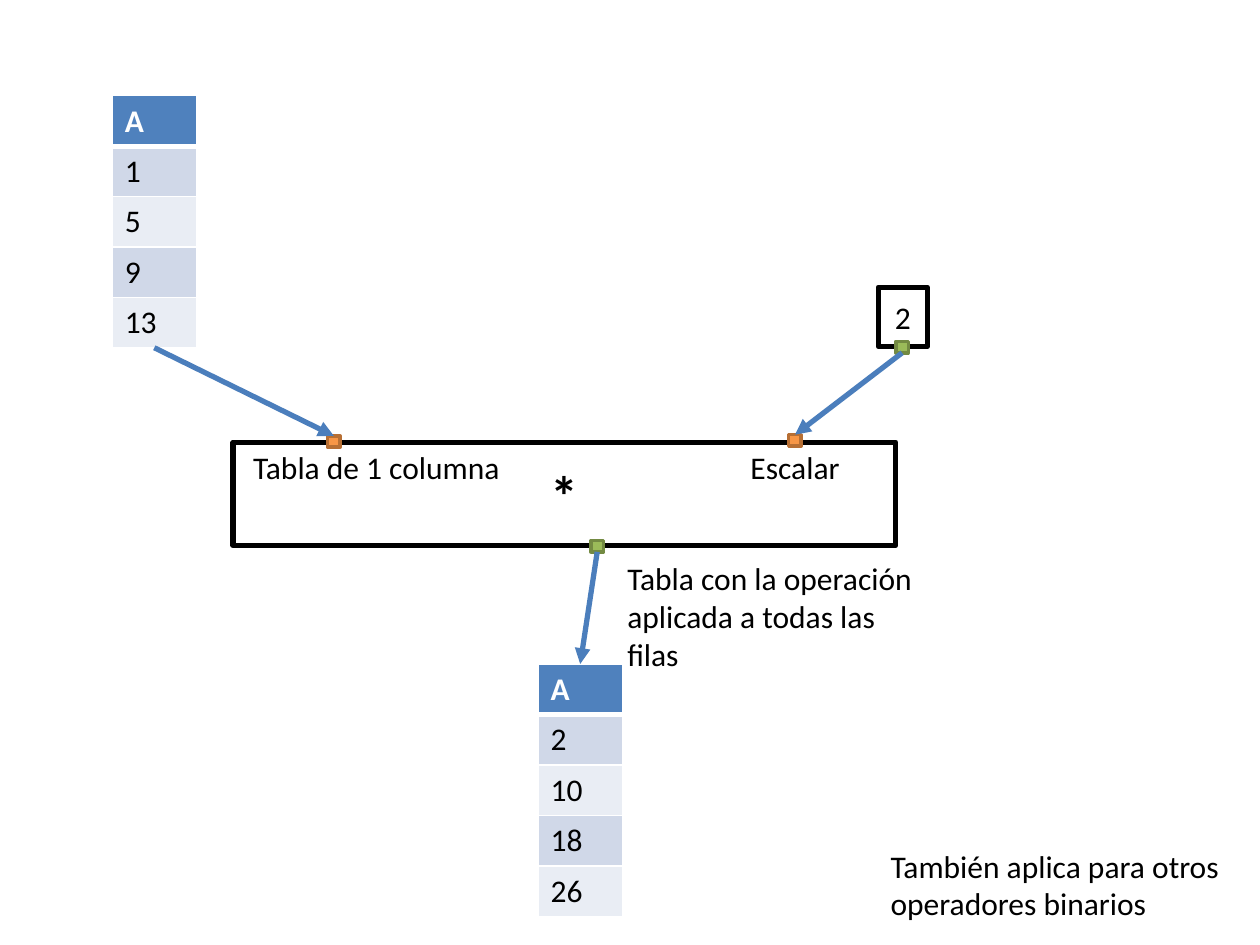
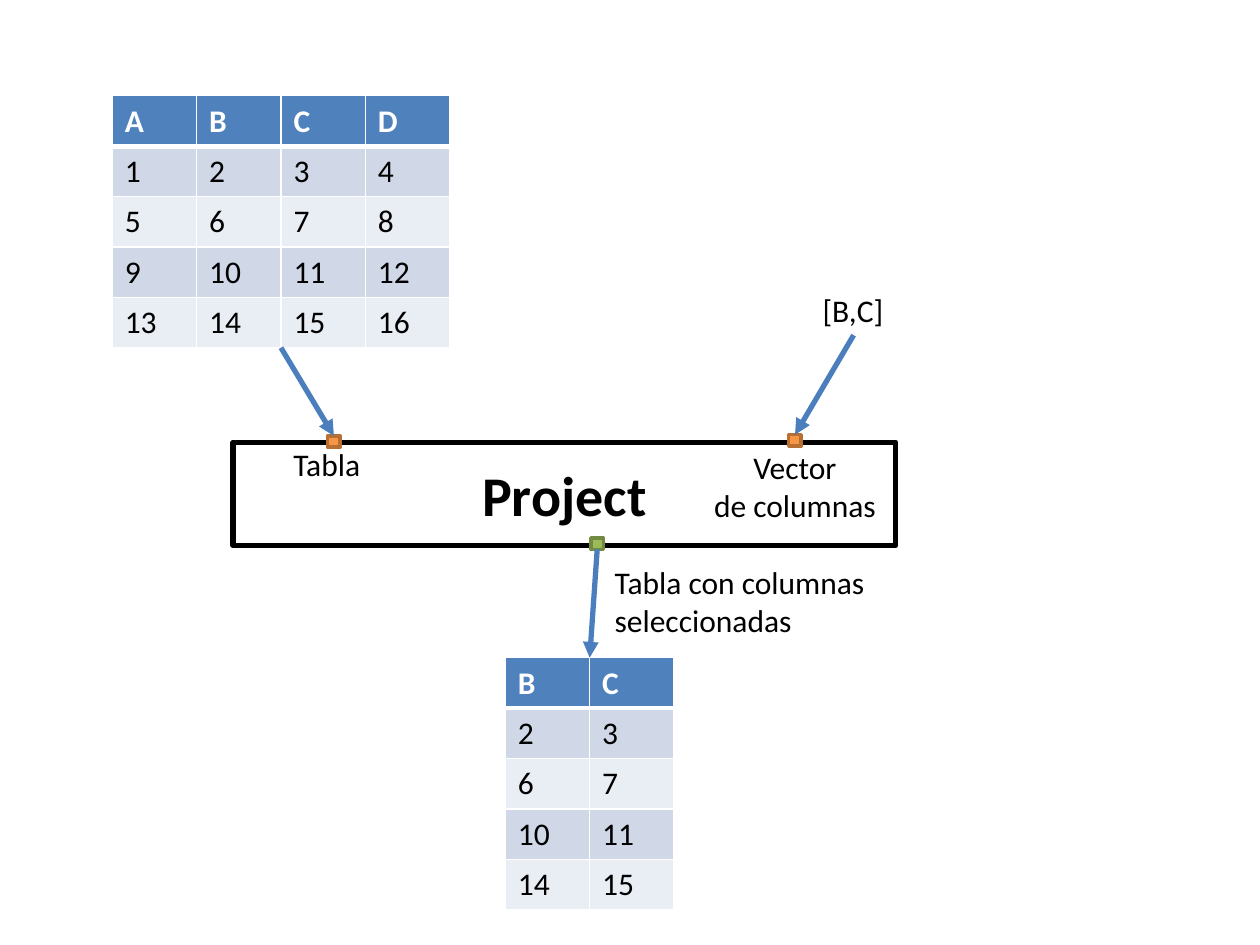
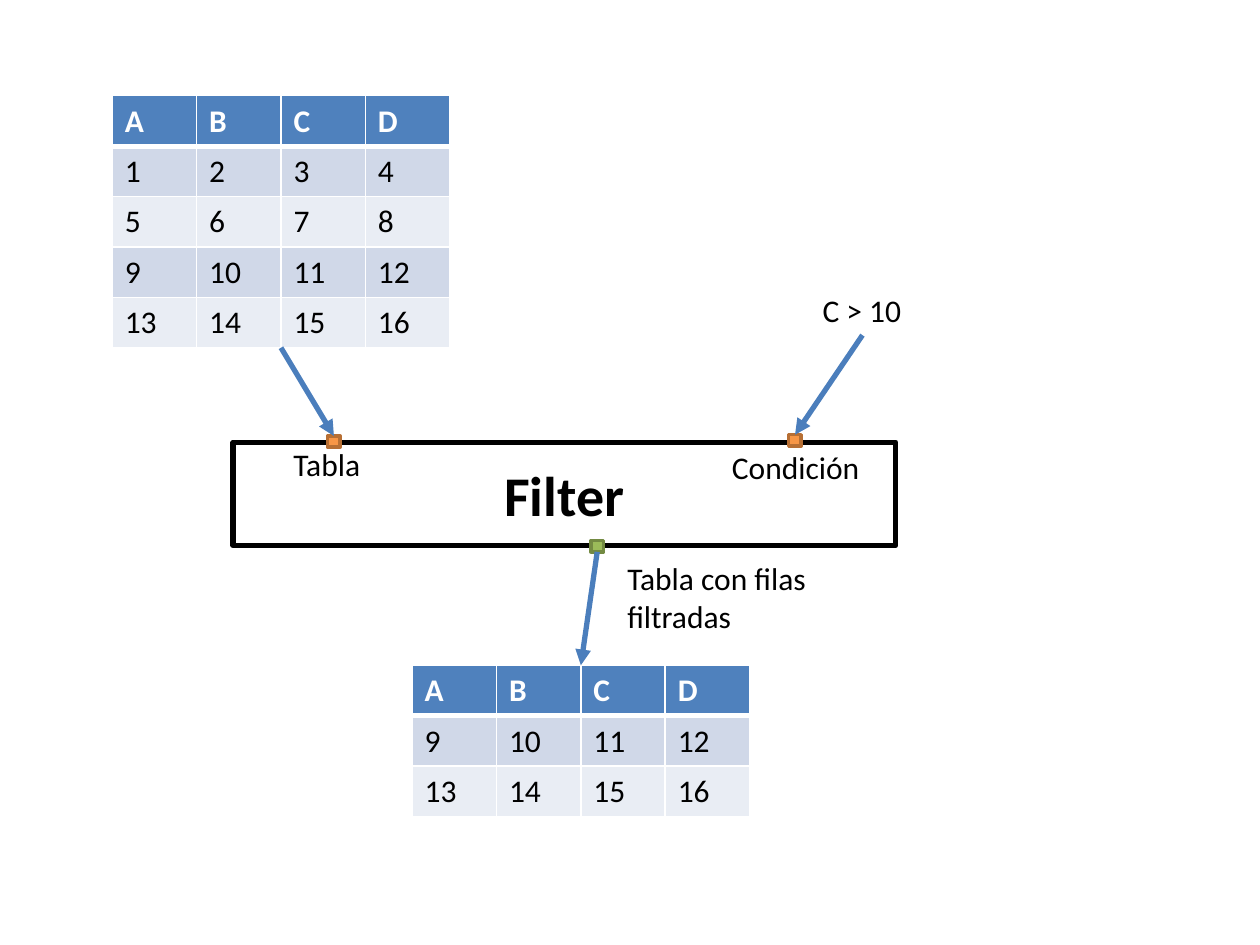
from lxml import etree
from pptx import Presentation
from pptx.dml.color import RGBColor
from pptx.enum.shapes import MSO_CONNECTOR, MSO_SHAPE
from pptx.enum.text import MSO_ANCHOR, MSO_AUTO_SIZE, PP_ALIGN
from pptx.oxml.ns import qn
from pptx.util import Inches, Pt

STRAIGHT = MSO_CONNECTOR.STRAIGHT
RECTANGLE = MSO_SHAPE.RECTANGLE
MIDDLE = MSO_ANCHOR.MIDDLE
GROW = MSO_AUTO_SIZE.SHAPE_TO_FIT_TEXT
LEFT, CENTER = PP_ALIGN.LEFT, PP_ALIGN.CENTER
TOP_SIDE, BOTTOM_SIDE = 0, 2

BLACK = RGBColor(0x00, 0x00, 0x00)
WHITE = RGBColor(0xFF, 0xFF, 0xFF)
HEADER_BLUE = RGBColor(0x4F, 0x81, 0xBD)
ARROW_BLUE = RGBColor(0x4B, 0x7E, 0xBC)
ROW_DARK = RGBColor(0xD0, 0xD8, 0xE8)
ROW_LIGHT = RGBColor(0xE9, 0xED, 0xF4)
INPUT_COLORS = (RGBColor(0xF7, 0x96, 0x46), RGBColor(0xB7, 0x6F, 0x34))
OUTPUT_COLORS = (RGBColor(0x9B, 0xBB, 0x59), RGBColor(0x73, 0x8A, 0x42))

FONT = "Calibri"
COLUMN_WIDTH, ROW_HEIGHT = 0.67, 0.4
PORT_WIDTH, PORT_HEIGHT = 0.1, 0.09
SOURCE_LEFT, SOURCE_TOP = 0.89, 0.76
FULL_TABLE = ["ABCD"] + [range(first, first + 4) for first in (1, 5, 9, 13)]


def add_run(paragraph, text, size=18, color=BLACK, bold=False):
    run = paragraph.add_run()
    run.text = text
    run.font.name = FONT
    run.font.size = Pt(size)
    run.font.color.rgb = color
    run.font.bold = bold


def add_label(slide, lines, left, top, width, height, align=LEFT, wrap=False):
    label = slide.shapes.add_textbox(Inches(left), Inches(top), Inches(width), Inches(height))
    frame = label.text_frame
    frame.word_wrap = wrap
    frame.auto_size = GROW
    for index, line in enumerate(lines):
        paragraph = frame.add_paragraph() if index else frame.paragraphs[0]
        paragraph.alignment = align
        add_run(paragraph, line)
    return label


def add_rectangle(slide, left, top, width, height, fill, outline, weight):
    rectangle = slide.shapes.add_shape(
        RECTANGLE, Inches(left), Inches(top), Inches(width), Inches(height))
    rectangle.shadow.inherit = False
    rectangle.fill.solid()
    rectangle.fill.fore_color.rgb = fill
    rectangle.line.color.rgb = outline
    rectangle.line.width = Pt(weight)
    return rectangle


def add_box(slide, text, left, top, width, height, size=18, bold=False):
    box = add_rectangle(slide, left, top, width, height, WHITE, BLACK, 3)
    box.text_frame.vertical_anchor = MIDDLE
    paragraph = box.text_frame.paragraphs[0]
    paragraph.alignment = CENTER
    add_run(paragraph, text, size, bold=bold)


def add_port(slide, left, top, colors):
    return add_rectangle(slide, left, top, PORT_WIDTH, PORT_HEIGHT, *colors, 2)


def add_border(cell, side, weight):
    border = etree.SubElement(cell._tc.get_or_add_tcPr(), qn("a:" + side), w=str(Pt(weight)))
    solid = etree.SubElement(border, qn("a:solidFill"))
    etree.SubElement(solid, qn("a:srgbClr"), val=str(WHITE))


def add_data_table(slide, rows, left, top):
    column_count = len(rows[0])
    table_frame = slide.shapes.add_table(
        len(rows), column_count, Inches(left), Inches(top),
        Inches(COLUMN_WIDTH * column_count), Inches(ROW_HEIGHT * len(rows)))
    table = table_frame.table
    for column in table.columns:
        column.width = Inches(COLUMN_WIDTH)
    for row_index, values in enumerate(rows):
        table.rows[row_index].height = Inches(ROW_HEIGHT)
        is_header = row_index == 0
        fill = HEADER_BLUE if is_header else (ROW_LIGHT, ROW_DARK)[row_index % 2]
        for column_index, value in enumerate(values):
            cell = table.cell(row_index, column_index)
            add_border(cell, "lnL", 1)
            add_border(cell, "lnR", 1)
            add_border(cell, "lnT", 3 if row_index == 1 else 1)
            add_border(cell, "lnB", 3 if is_header else 1)
            cell.fill.solid()
            cell.fill.fore_color.rgb = fill
            add_run(cell.text_frame.paragraphs[0], str(value),
                    color=WHITE if is_header else BLACK, bold=is_header)
    return table_frame


def side_middle(part, side):
    return part.left + part.width // 2, part.top + (part.height if side == BOTTOM_SIDE else 0)


def add_arrow(slide, origin, target):
    arrow = slide.shapes.add_connector(
        STRAIGHT, *side_middle(origin, BOTTOM_SIDE), *side_middle(target, TOP_SIDE))
    if not origin.has_table:
        arrow.begin_connect(origin, BOTTOM_SIDE)
    if not target.has_table:
        arrow.end_connect(target, TOP_SIDE)
    arrow.line.color.rgb = ARROW_BLUE
    arrow.line.width = Pt(3)
    properties = arrow._element.spPr
    etree.SubElement(properties.get_or_add_ln(), qn("a:tailEnd"), type="triangle")
    etree.SubElement(properties, qn("a:effectLst"))


def add_operator(slide, name, output_top=4.29):
    add_box(slide, name, 1.85, 3.51, 5.26, 0.82, 32, True)
    return (add_port(slide, 2.6, 3.46, INPUT_COLORS),
            add_port(slide, 6.26, 3.45, INPUT_COLORS),
            add_port(slide, 4.69, output_top, OUTPUT_COLORS))


def add_flow(slide, ports, source_rows, argument, result_rows, result_left, result_top):
    table_port, argument_port, output_port = ports
    source = add_data_table(slide, source_rows, SOURCE_LEFT, SOURCE_TOP)
    result = add_data_table(slide, result_rows, result_left, result_top)
    add_arrow(slide, source, table_port)
    add_arrow(slide, argument, argument_port)
    add_arrow(slide, output_port, result)


def build_scalar_slide(slide):
    ports = add_operator(slide, "*")
    add_label(slide, ["Tabla de 1 columna"], 1.91, 3.51, 2.18, 0.4)
    add_label(slide, ["Escalar"], 5.85, 3.51, 0.92, 0.4, CENTER)
    add_label(slide, ["Tabla con la operación aplicada a todas las filas"],
              4.88, 4.39, 2.58, 1.01, wrap=True)
    add_box(slide, "2", 6.97, 2.28, 0.39, 0.47)
    scalar_port = add_port(slide, 7.11, 2.71, OUTPUT_COLORS)
    source_rows = [row[:1] for row in FULL_TABLE]
    doubled_rows = ["A"] + [[2 * row[0]] for row in source_rows[1:]]
    add_flow(slide, ports, source_rows, scalar_port, doubled_rows, 4.27, 5.27)
    add_label(slide, ["También aplica para otros operadores binarios"],
              6.97, 6.67, 2.93, 0.71, wrap=True)


def build_project_slide(slide):
    ports = add_operator(slide, "Project", 4.27)
    add_label(slide, ["Tabla"], 2.23, 3.48, 0.74, 0.4)
    add_label(slide, ["Vector", "de columnas"], 5.56, 3.51, 1.5, 0.71, CENTER)
    add_label(slide, ["Tabla con columnas", "seleccionadas"], 4.78, 4.42, 2.21, 0.71)
    columns = add_label(slide, ["[B,C]"], 6.43, 2.26, 0.69, 0.4)
    projected_rows = [row[1:3] for row in FULL_TABLE]
    add_flow(slide, ports, FULL_TABLE, columns, projected_rows, 4.01, 5.22)


def build_filter_slide(slide):
    ports = add_operator(slide, "Filter")
    add_label(slide, ["Tabla"], 2.23, 3.48, 0.74, 0.4)
    add_label(slide, ["Condición"], 5.7, 3.51, 1.23, 0.4, CENTER)
    add_label(slide, ["Tabla con filas", "filtradas"], 4.88, 4.39, 1.62, 0.71)
    condition = add_label(slide, ["C > 10"], 6.43, 2.26, 0.83, 0.4)
    filtered_rows = FULL_TABLE[:1] + [row for row in FULL_TABLE[1:] if row[2] > 10]
    add_flow(slide, ports, FULL_TABLE, condition, filtered_rows, 3.27, 5.28)


def main():
    presentation = Presentation()
    presentation.slide_width = Inches(10)
    presentation.slide_height = Inches(7.5)
    blank = presentation.slide_layouts[6]
    for build in (build_scalar_slide, build_project_slide, build_filter_slide):
        build(presentation.slides.add_slide(blank))
    presentation.save("out.pptx")


if __name__ == "__main__":
    main()
